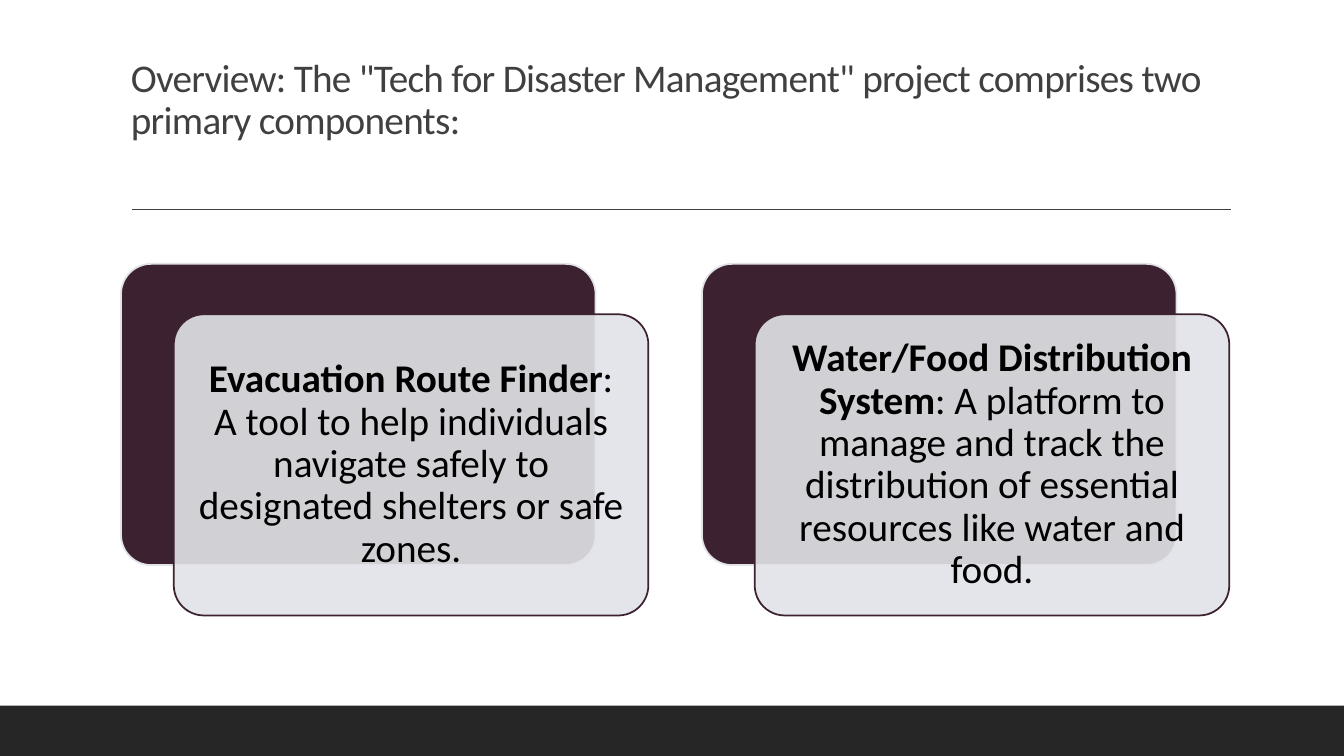
from dataclasses import dataclass
from lxml.etree import SubElement
from pptx import Presentation
from pptx.dml.color import RGBColor
from pptx.enum.shapes import MSO_CONNECTOR, MSO_SHAPE
from pptx.enum.text import MSO_ANCHOR, PP_ALIGN
from pptx.oxml.ns import qn
from pptx.util import Cm, Pt

TITLE = 'Overview: The "Tech for Disaster Management" project comprises two primary components:'
CARDS = [
    ("Evacuation Route Finder",
     ": A tool to help individuals navigate safely to designated shelters or safe zones."),
    ("Water/Food Distribution System",
     ": A platform to manage and track the distribution of essential resources like water and food."),
]


@dataclass(frozen=True)
class Theme:
    font: str = "Calibri"
    size: float = 28
    edge: float = 1.25
    rule: float = 1
    plum: str = "3C2230"
    pale: str = "E2E3E8"
    gray: str = "404040"
    dark: str = "262626"
    ink: str = "000000"


THEME = Theme()
WIDE, HIGH = 33.87, 19.05
LEFT, TOP = 3.05, 6.65
CARD_W, CARD_H = 11.96, 7.59
STEP = 14.64
SHIFT_X, SHIFT_Y = 1.33, 1.27
FOOT = 1.27


def color(code):
    return RGBColor.from_string(code)


def style(run, code, bold=False):
    font = run.font
    font.name, font.size, font.bold = THEME.font, Pt(THEME.size), bold
    font.color.rgb = color(code)


def block(slide, kind, x, y, w, h, fill, line=None):
    shape = slide.shapes.add_shape(kind, Cm(x), Cm(y), Cm(w), Cm(h))
    shape.shadow.inherit = False
    shape.fill.solid()
    shape.fill.fore_color.rgb = color(fill)
    if line:
        shape.line.color.rgb = color(line)
        shape.line.width = Pt(THEME.edge)
    else:
        shape.line.fill.background()
    return shape


def panel(slide, x, y, fill, line):
    shape = block(slide, MSO_SHAPE.ROUNDED_RECTANGLE, x, y, CARD_W, CARD_H, fill, line)
    shape.adjustments[0] = 0.1
    return shape


def fade(shape, share):
    """Set the opacity of a solid fill, in percent."""
    tone = shape.fill._xPr.find(qn("a:solidFill"))[0]
    SubElement(tone, qn("a:alpha")).set("val", str(share * 1000))


def add_title(slide):
    box = slide.shapes.add_textbox(Cm(LEFT), Cm(0.79), Cm(27.94), Cm(2.95))
    frame = box.text_frame
    frame.word_wrap = True
    frame.vertical_anchor = MSO_ANCHOR.BOTTOM
    frame.text = TITLE
    para = frame.paragraphs[0]
    para.line_spacing = 0.9
    run = para.runs[0]
    style(run, THEME.gray)
    run.font._element.set("spc", "-50")


def add_rule(slide):
    y = Cm(5.28)
    rule = slide.shapes.add_connector(MSO_CONNECTOR.STRAIGHT, Cm(3.33), y, Cm(31.01), y)
    rule.line.color.rgb = color(THEME.gray)
    rule.line.width = Pt(THEME.rule)
    SubElement(rule._element.spPr, qn("a:effectLst"))


def add_card(slide, x, name, text):
    panel(slide, x, TOP, THEME.plum, THEME.pale)
    front = panel(slide, x + SHIFT_X, TOP + SHIFT_Y, THEME.pale, THEME.plum)
    fade(front, 90)
    frame = front.text_frame
    frame.word_wrap = True
    frame.vertical_anchor = MSO_ANCHOR.MIDDLE
    frame.margin_left = frame.margin_right = Cm(0.3)
    frame.margin_top = frame.margin_bottom = Cm(0.3)
    para = frame.paragraphs[0]
    para.text = name
    para.add_run().text = text
    para.alignment = PP_ALIGN.CENTER
    para.line_spacing = 0.9
    for run, bold in zip(para.runs, (True, False)):
        style(run, THEME.ink, bold)


def main():
    deck = Presentation()
    deck.slide_width, deck.slide_height = Cm(WIDE), Cm(HIGH)
    slide = deck.slides.add_slide(deck.slide_layouts[6])
    add_title(slide)
    add_rule(slide)
    block(slide, MSO_SHAPE.RECTANGLE, 0, HIGH - FOOT, WIDE, FOOT, THEME.dark)
    for i, (name, text) in enumerate(CARDS):
        add_card(slide, LEFT + i * STEP, name, text)
    deck.save("out.pptx")


if __name__ == "__main__":
    main()
